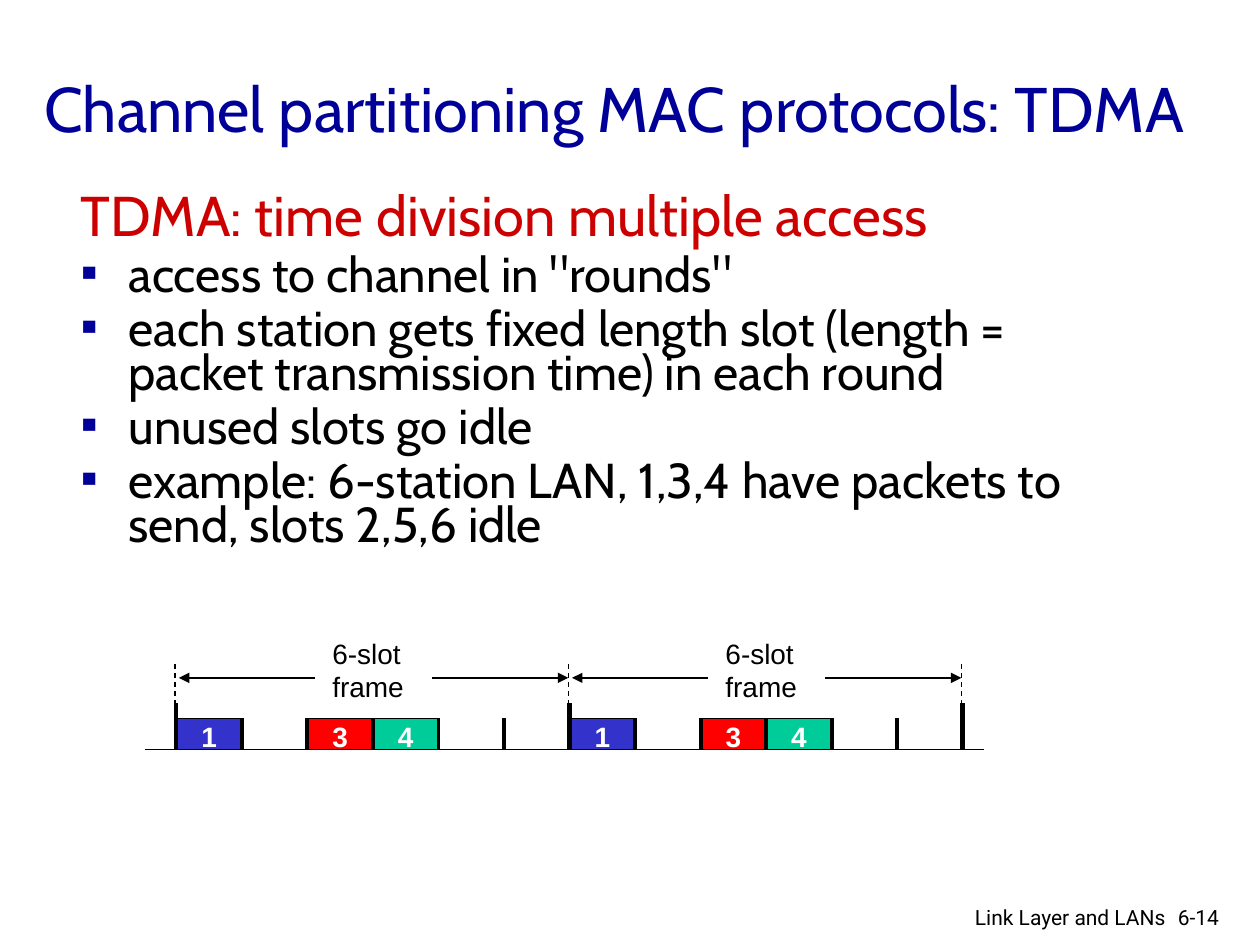
import pptx
import pptx.util
import pptx.dml.color
import pptx.enum.dml
import pptx.enum.shapes
import pptx.enum.text
from lxml import etree

Inches, Pt = pptx.util.Inches, pptx.util.Pt
RGBColor = pptx.dml.color.RGBColor
PP_ALIGN = pptx.enum.text.PP_ALIGN
MSO_ANCHOR = pptx.enum.text.MSO_ANCHOR
MSO_AUTO_SIZE = pptx.enum.text.MSO_AUTO_SIZE
MSO_SHAPE = pptx.enum.shapes.MSO_SHAPE
MSO_CONNECTOR = pptx.enum.shapes.MSO_CONNECTOR
MSO_LINE = pptx.enum.dml.MSO_LINE
qn = pptx.oxml.ns.qn

NAVY = RGBColor(0x00, 0x00, 0x99)
CRIMSON = RGBColor(0xCC, 0x00, 0x00)
BLACK = RGBColor(0x00, 0x00, 0x00)
WHITE = RGBColor(0xFF, 0xFF, 0xFF)
BLUE = RGBColor(0x33, 0x33, 0xCC)
RED = RGBColor(0xFF, 0x00, 0x00)
GREEN = RGBColor(0x00, 0xCC, 0x99)

TITLE = "Channel partitioning MAC protocols: TDMA"
HEADING = "TDMA: time division multiple access"
BULLETS = [
    'access to channel in "rounds"',
    "each station gets fixed length slot (length = packet transmission time) in each round",
    "unused slots go idle",
    "example: 6-station LAN, 1,3,4 have packets to send, slots 2,5,6 idle",
]
FRAME_LABEL = ["6-slot", "frame"]
PACKETS = [(1, BLUE), (3, RED), (4, GREEN)]
FOOTERS = [
    ("Link Layer and LANs", 6.97, 2.38, PP_ALIGN.RIGHT),
    ("6-14", 9.25, 0.6, PP_ALIGN.LEFT),
]

SLOTS = 6
SLOT = 0.52
FRAME = SLOTS * SLOT
STARTS = [1.4, 1.4 + FRAME]
END = STARTS[-1] + FRAME
AXIS_Y = 5.95
SLOT_TOP = 5.7
ARROW_Y = 5.38


def place(sp, x, y, w, h):
    sp.left, sp.top, sp.width, sp.height = map(Inches, (x, y, w, h))


def write(p, text, size, color, font="Cabin", bold=False, align=PP_ALIGN.LEFT):
    p.alignment = align
    r = p.add_run()
    r.text = text
    r.font.name = font
    r.font.size = Pt(size)
    r.font.bold = bold
    r.font.color.rgb = color


def add_text(s, lines, x, y, w, h, wrap=False, **style):
    tf = s.shapes.add_textbox(*map(Inches, (x, y, w, h))).text_frame
    tf.word_wrap = wrap
    for i, line in enumerate(lines):
        write(tf.add_paragraph() if i else tf.paragraphs[0], line, **style)


def add_line(s, x1, y1, x2, y2, width=0.75, dash=False, arrow=False):
    sp = s.shapes.add_connector(MSO_CONNECTOR.STRAIGHT, *map(Inches, (x1, y1, x2, y2)))
    sp.line.color.rgb = BLACK
    sp.line.width = Pt(width)
    if dash:
        sp.line.dash_style = MSO_LINE.DASH
    if arrow:
        etree.SubElement(sp.line._get_or_add_ln(), qn("a:tailEnd"), type="triangle")
    etree.SubElement(sp._element.spPr, qn("a:effectLst"))


def set_bullet(p, bullet):
    pPr = p._p.get_or_add_pPr()
    pPr.set("marL", str(Inches(0.38)))
    pPr.set("indent", str(-Inches(0.38)))
    if bullet:
        clr = etree.SubElement(pPr, qn("a:buClr"))
        etree.SubElement(clr, qn("a:srgbClr"), val=str(NAVY))
        etree.SubElement(pPr, qn("a:buChar"), char=bullet)
    else:
        etree.SubElement(pPr, qn("a:buNone"))


def add_heading_and_list(s):
    title, body = s.placeholders[0], s.placeholders[1]
    place(title, 0.25, 0.23, 9.44, 1.25)
    title.text_frame.auto_size = MSO_AUTO_SIZE.NONE
    title.text_frame.vertical_anchor = MSO_ANCHOR.MIDDLE
    write(title.text_frame.paragraphs[0], TITLE, 36, NAVY)

    place(body, 0.54, 1.51, 8.5, 3.2)
    tf = body.text_frame
    tf.auto_size = MSO_AUTO_SIZE.NONE
    for i, text in enumerate([HEADING] + BULLETS):
        p = tf.add_paragraph() if i else tf.paragraphs[0]
        set_bullet(p, "▪" if i else None)
        p.line_spacing = 0.75
        p.space_before = Pt(5.6 if i else 0)
        write(p, text, 28 if i else 32, BLACK if i else CRIMSON)


def add_frame(s, start):
    for number, color in PACKETS:
        x = start + (number - 1) * SLOT
        sp = s.shapes.add_shape(MSO_SHAPE.RECTANGLE, *map(Inches, (x, SLOT_TOP, SLOT, AXIS_Y - SLOT_TOP)))
        sp.shadow.inherit = False
        sp.fill.solid()
        sp.fill.fore_color.rgb = color
        sp.line.color.rgb = BLACK
        sp.line.width = Pt(0.75)
        add_text(s, [str(number)], x + 0.1, 5.66, 0.32, 0.37,
                 size=16, color=WHITE, font="Arial", bold=True)
    for i in range(1, SLOTS):
        add_line(s, start + i * SLOT, SLOT_TOP, start + i * SLOT, AXIS_Y, width=2.25)
    add_text(s, FRAME_LABEL, start + 1.14, 5, 0.77, 0.64, size=16, color=BLACK, font="Arial")
    add_line(s, start + 1.1, ARROW_Y, start + 0.02, ARROW_Y, arrow=True)
    add_line(s, start + FRAME - 1.09, ARROW_Y, start + FRAME - 0.01, ARROW_Y, arrow=True)


def main():
    prs = pptx.Presentation()
    prs.slide_width, prs.slide_height = Inches(10), Inches(7.5)
    s = prs.slides.add_slide(prs.slide_layouts[1])
    add_heading_and_list(s)

    add_line(s, 1.15, AXIS_Y, 7.81, AXIS_Y)
    for start in STARTS:
        add_frame(s, start)
    for x, width in zip(STARTS + [END], (2.25, 3, 3)):
        add_line(s, x, 5.58, x, AXIS_Y, width=width)
        add_line(s, x - 0.01, 5.27, x - 0.01, 5.6, dash=True)

    for text, x, w, align in FOOTERS:
        add_text(s, [text], x, 7.13, w, 0.28, wrap=True,
                 size=12, color=BLACK, font="Roboto", align=align)
    prs.save("out.pptx")


if __name__ == "__main__":
    main()
